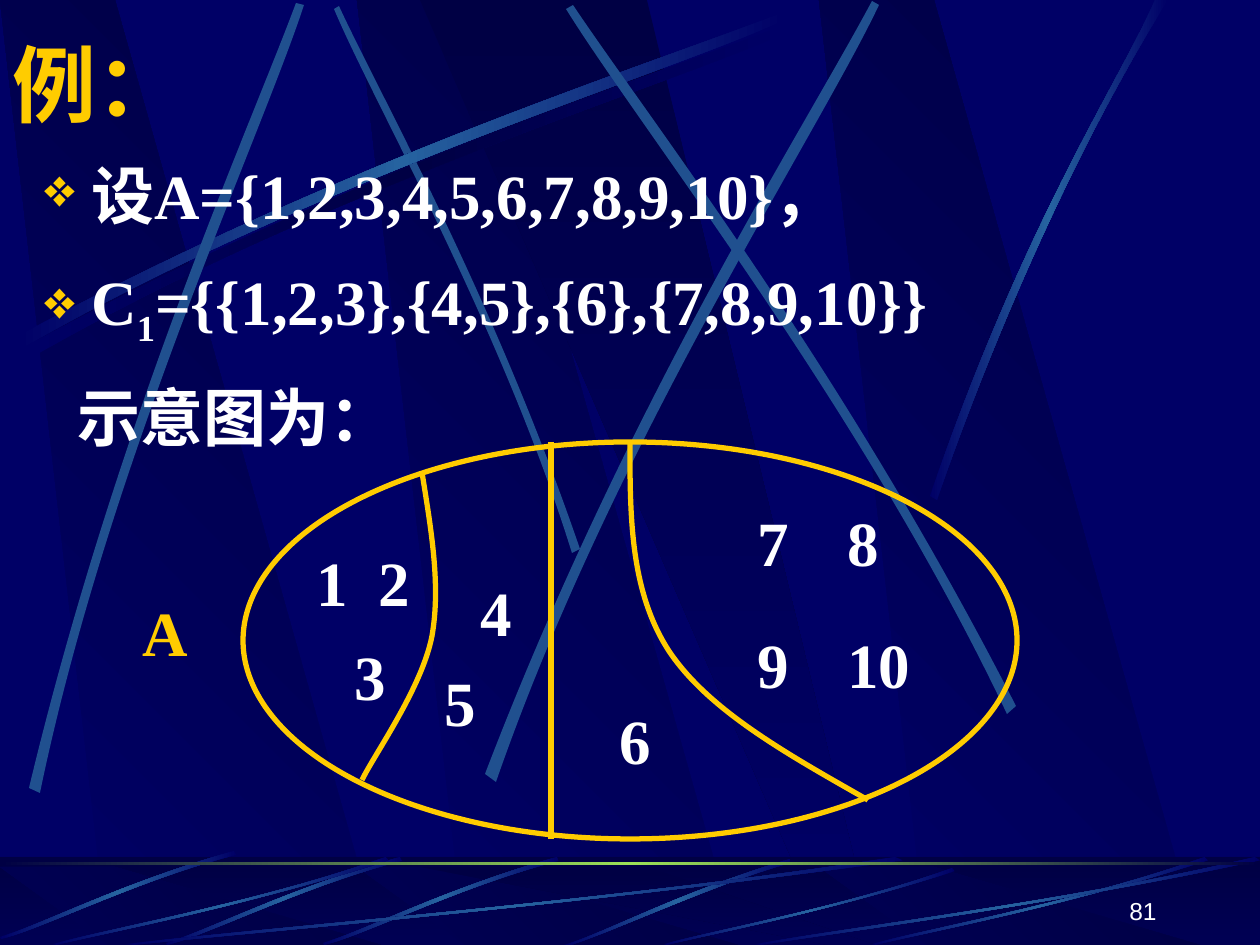
from lxml.etree import SubElement
from pptx import Presentation
from pptx.dml.color import RGBColor
from pptx.enum.shapes import MSO_SHAPE as SHAPE
from pptx.enum.text import MSO_ANCHOR as ANCHOR, PP_ALIGN as ALIGN
from pptx.oxml.ns import qn
from pptx.util import Pt

PX = 914400 / 126
W, H = 1260, 945
C = {"navy": "000066", "dark": "000044", "ray": "2663A0", "soft": "20508F",
     "glow": "9CE157", "gold": "FFCC00", "white": "FFFFFF"}
SERIF, SANS, CJK = "Times New Roman", "Arial", "Noto Sans CJK SC"
FADE = ("navy", "ray", "navy")


def emu(v):
    """Turn px into EMU."""
    return round(v * PX)


def rgb(name):
    """Look up a colour."""
    return RGBColor.from_string(C[name])


def paint(s, names, angle=0):
    """Fill a shape with one colour, or with an even gradient of several."""
    s.shadow.inherit = False
    s.line.fill.background()
    if len(names) == 1:
        s.fill.solid()
        s.fill.fore_color.rgb = rgb(names[0])
        return
    s.fill.gradient()
    grad = s._element.spPr.find(qn("a:gradFill"))
    stops = grad.find(qn("a:gsLst"))
    for gs in list(stops):
        stops.remove(gs)
    for i, name in enumerate(names):
        gs = SubElement(stops, qn("a:gs"), pos=str(100000 * i // (len(names) - 1)))
        SubElement(gs, qn("a:srgbClr"), val=C[name])
    grad.find(qn("a:lin")).set("ang", str(angle * 60000))


def outline(s):
    """Give a shape a gold outline and no fill."""
    s.shadow.inherit = False
    s.fill.background()
    s.line.color.rgb = rgb("gold")
    s.line.width = Pt(3)


def freeform(sl, pts, x=0, y=0, close=True, curves=()):
    """Draw an outline relative to x, y; curves lists the segments that start a cubic."""
    pts = [(emu(x + px), emu(y + py)) for px, py in pts]
    fb = sl.shapes.build_freeform(*pts[0])
    fb.add_line_segments(pts[1:], close=close)
    s = fb.convert_to_shape()
    lines = list(s._element.iter(qn("a:lnTo")))
    for i in curves:
        parent = lines[i].getparent()
        cubic = SubElement(parent, qn("a:cubicBezTo"))
        lines[i].addprevious(cubic)
        for ln in lines[i:i + 3]:
            cubic.append(ln[0])
            parent.remove(ln)
    return s


def streak(sl, pts, names=FADE, x=0, y=0):
    """Draw a light ray between two cubic edges."""
    paint(freeform(sl, pts, x, y, curves=(0, 4)), names)


def rect(sl, x, y, w, h, names, angle=0):
    """Draw a filled rectangle."""
    s = sl.shapes.add_shape(SHAPE.RECTANGLE, emu(x), emu(y), emu(w), emu(h))
    paint(s, names, angle)
    return s


def panels(sl, y, h):
    """Place the four slanted panels in a band."""
    for x in (357, 0, 819):
        paint(freeform(sl, [(108, h), (381, h), (115, 0), (0, 0)], x, y), ("navy", "dark"), 315)
    paint(freeform(sl, [(0, 0), (409, h), (455, h), (227, 0)], 420, y), ("dark", "navy"), 90)


def wall(sl):
    """Place the panels and rays of the backdrop."""
    panels(sl, 0, H)
    long_ray = [(18, 336), (350, 158), (653, 64), (781, 13), (785, 20), (658, 77), (312, 180), (21, 349)]
    streak(sl, long_ray, ("navy", "dark", "navy"), 8, 10)
    streak(sl, [(580, 549), (493, 295), (381, 97), (339, 6),
                (334, 9), (372, 100), (501, 325), (572, 553)], ("soft",))
    streak(sl, long_ray)
    for ray in ([(29, 788), (117, 421), (248, 132), (296, 3), (304, 5), (261, 137), (108, 464), (40, 793)],
                [(485, 774), (627, 403), (804, 129), (872, 1), (879, 5), (818, 134), (612, 447), (496, 782)],
                [(1016, 706), (844, 369), (650, 120), (573, 5), (566, 9), (639, 127), (863, 410), (1007, 714)]):
        streak(sl, ray, ("soft",))
    streak(sl, [(930, 496), (1026, 218), (1119, 83), (1155, 0),
                (1168, 0), (1053, 183), (969, 406), (937, 500)])


def floor(sl, y, h):
    """Place the floor band with its rays and horizon."""
    rect(sl, 0, y, W, h, ("dark", "navy"), 90)
    panels(sl, y + 10, h - 10)
    veil = rect(sl, 0, y, W, h, ("dark",))
    SubElement(next(veil._element.spPr.iter(qn("a:srgbClr"))), qn("a:alpha"), val="50000")
    streak(sl, [(790, 2), (677, 36), (601, 78), (564, 88),
                (571, 88), (617, 73), (719, 25), (791, 6)], y=y)
    for x, dy in ((323, 0), (166, 0), (0, -6)):
        streak(sl, [(234, 0), (124, 31), (39, 75), (0, 86),
                    (1, 88), (40, 79), (137, 29), (236, 4)], x=x, y=y + dy)
    sweep = [(1, .04), (.56, .57), (.17, .85), (.01, 1), (0, .99), (.17, .81), (.62, .51), (.99, 0)]
    for x, w, dy in ((126, 777, 0), (53, 336, 0), (664, 291, 11), (872, 336, 0), (756, 504, 0)):
        streak(sl, [(w * fx, (h - dy) * fy) for fx, fy in sweep], x=x, y=y + dy)
    rect(sl, 0, y + 5, W, 3, ("dark", "glow", "dark"))


def text(sl, x, y, w, h, paras, size=36, color="white", font=SERIF, bold=True,
         anchor=ANCHOR.TOP, align=ALIGN.LEFT, line=1.2, before=18):
    """Place a text box; each paragraph is its text, left margin, first-line indent and tab."""
    tf = sl.shapes.add_textbox(emu(x), emu(y), emu(w), emu(h)).text_frame
    tf.word_wrap = True
    tf.vertical_anchor = anchor
    for i, (words, margin, indent, tab) in enumerate(paras):
        p = tf.add_paragraph() if i else tf.paragraphs[0]
        p.text = words
        p.alignment, p.line_spacing, p.space_before = align, line, Pt(before)
        f = p.font
        f.size, f.bold, f.name, f.color.rgb = Pt(size), bold, font, rgb(color)
        pr = p._p.get_or_add_pPr()
        pr.set("marL", str(emu(margin)))
        pr.set("indent", str(emu(indent)))
        if tab:
            stops = SubElement(pr, qn("a:tabLst"))
            SubElement(stops, qn("a:tab"), pos=str(emu(tab)), algn="l")
            pr.insert_element_before(stops, "a:defRPr")
        for r in p.runs:
            SubElement(r._r.get_or_add_rPr(), qn("a:ea"), typeface=CJK)
    return tf


def bullet(p):
    """Give a paragraph a gold diamond bullet."""
    pr = p._p.get_or_add_pPr()
    color = SubElement(pr, qn("a:buClr"))
    SubElement(color, qn("a:srgbClr"), val=C["gold"])
    size = SubElement(pr, qn("a:buSzPct"), val="85000")
    char = SubElement(pr, qn("a:buChar"), char="❖")
    for el in (color, size, char):
        pr.insert_element_before(el, "a:tabLst", "a:defRPr")


def body(sl, x, y, w, h):
    """Place the definition of the set and its partition."""
    tf = text(sl, x, y, w, h, [("设A={1,2,3,4,5,6,7,8,9,10}，", 47, -47, 0),
                               ("C", 47, -47, 0), ("示意图为：", 33, 0, 0)], before=8)
    p = tf.paragraphs[1]
    for words, base in (("1", "-25000"), ("={{1,2,3},{4,5},{6},{7,8,9,10}}", "0")):
        r = p.add_run()
        r.text = words
        r._r.get_or_add_rPr().set("baseline", base)
    for p in tf.paragraphs[:2]:
        bullet(p)


def diagram(sl, x, y, w, h):
    """Place the ellipse, its dividing curves and the labels of the blocks."""
    outline(sl.shapes.add_shape(SHAPE.OVAL, emu(x), emu(y), emu(w), emu(h)))
    first = [(179, 30), (188, 87), (198, 143), (189, 194), (179, 246), (131, 313), (119, 338)]
    last = [(387, 0), (387, 74), (387, 149), (426, 209), (466, 269), (546, 313), (625, 358)]
    for pts, curves in ((first, (0, 3)), ([(308, 0), (308, h)], ()), (last, (0, 3))):
        outline(freeform(sl, pts, x, y, close=False, curves=curves))
    tf = text(sl, x + 20, y + 80, 169, 194, [("1\t2", 0, 41, 104), ("3", 0, 79, 0)])
    tf.paragraphs[1].space_before = Pt(2)
    text(sl, x + 189, y + 110, 118, 194, [("4 5", 0, 36, 0)])
    text(sl, x + 328, y + 238, 159, 103, [("6", 0, 36, 0)])
    text(sl, x + 466, y + 40, 348, 232, [("7\t8", 0, 36, 115), ("9\t10", 0, 36, 99)])
    text(sl, x - 149, y + 130, 149, 103, [("A", 0, 36, 0)], color="gold")


def main():
    """Build and save the slide."""
    prs = Presentation()
    prs.slide_width, prs.slide_height = emu(W), emu(H)
    sl = prs.slides.add_slide(prs.slide_layouts[6])
    sl.background.fill.solid()
    sl.background.fill.fore_color.rgb = rgb("navy")
    wall(sl)
    floor(sl, 857, 88)
    text(sl, 0, 26, 1197, 113, [("例：", 0, 0, 0)], 48, "gold", CJK,
         anchor=ANCHOR.MIDDLE, line=1, before=0)
    body(sl, 32, 135, 1197, 716)
    diagram(sl, 243, 442, 774, 397)
    text(sl, 907, 869, 262, 63, [("81", 0, 0, 0)], 14, font=SANS, bold=False,
         anchor=ANCHOR.BOTTOM, align=ALIGN.RIGHT, line=1, before=0)
    prs.save("out.pptx")


if __name__ == "__main__":
    main()
